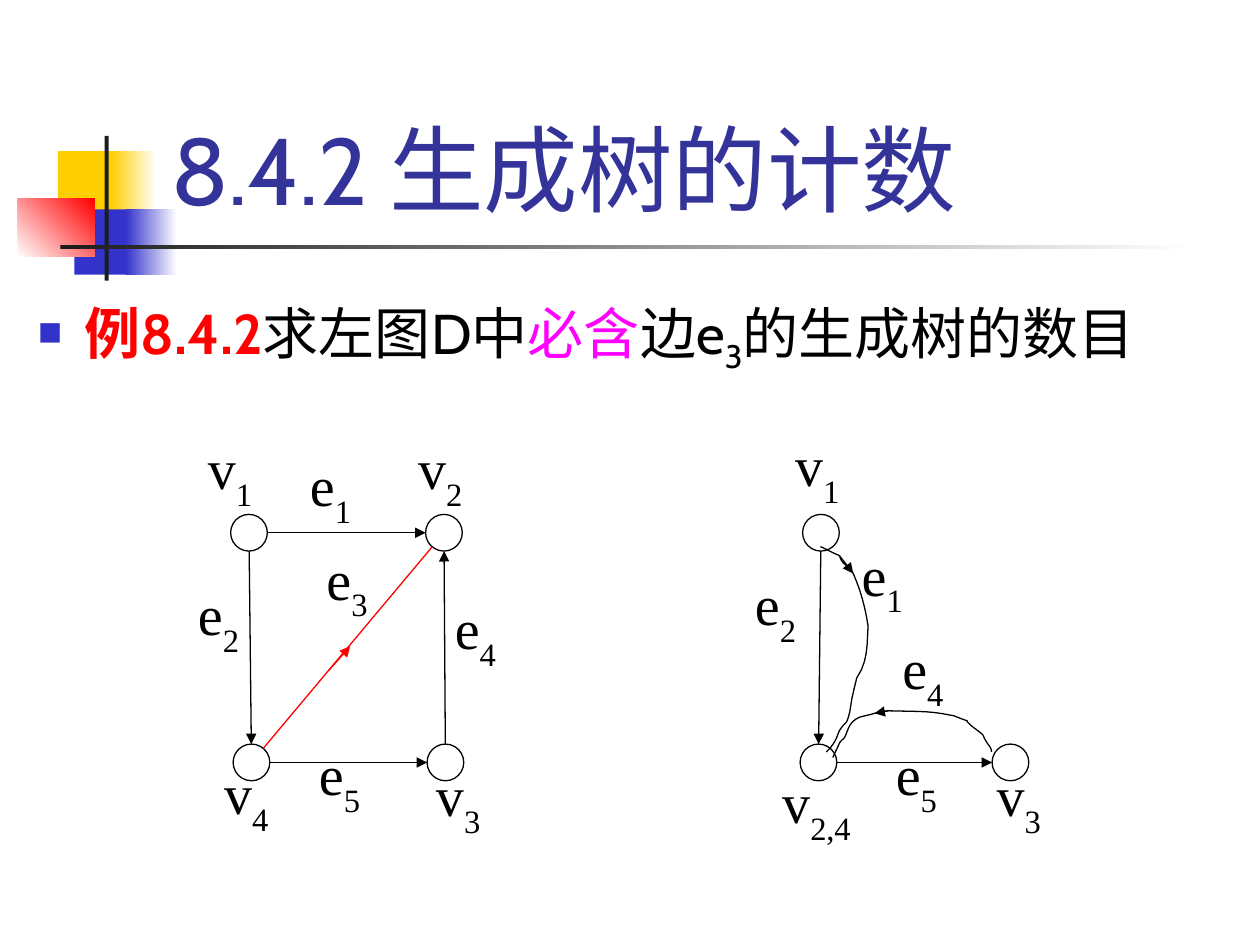
import math

import pptx
import pptx.dml.color
import pptx.enum.shapes
import pptx.enum.text
import pptx.oxml
import pptx.oxml.ns
import pptx.util
from pptx.dml.color import RGBColor
from pptx.util import Cm, Pt

YELLOW = RGBColor(0xFF, 0xCF, 0x01)
BLUE = RGBColor(0x33, 0x33, 0xCC)
TITLE_BLUE = RGBColor(0x33, 0x33, 0x99)
RED = RGBColor(0xFF, 0x00, 0x00)
MAGENTA = RGBColor(0xFF, 0x00, 0xFF)
CHARCOAL = RGBColor(0x1C, 0x1C, 0x1C)
BLACK = RGBColor(0x00, 0x00, 0x00)
WHITE = RGBColor(0xFF, 0xFF, 0xFF)

TEXT_FONT = "Cabin"
LABEL_FONT = "Times New Roman"
LINE_WIDTH = Pt(0.75)
RADIUS = 0.37
CURVE_STEPS = 6

# Master decoration: left, top, width, height, colours, gradient angle
DECORATION = [
    (1.17, 3.05, 1.22, 1.32, (YELLOW,), 0),
    (2.24, 3.05, 0.91, 1.32, (YELLOW, WHITE), 0),
    (1.5, 4.22, 1.17, 1.32, (BLUE,), 0),
    (2.54, 4.22, 1.02, 1.32, (BLUE, WHITE), 0),
    (0.36, 4.01, 1.55, 1.17, (WHITE, RED), 45),
    (2.11, 2.74, 0.08, 2.92, (CHARCOAL,), 0),
    (1.22, 4.94, 22.86, 0.09, (CHARCOAL, WHITE), 0),
]

# Labels: letter, subscript, left, top
LABELS = [
    ("v", "3", 19.81, 15.19), ("v", "2,4", 15.49, 15.32),
    ("v", "3", 8.51, 15.19), ("v", "4", 4.24, 15.14),
    ("e", "3", 6.3, 10.82), ("e", "4", 17.91, 12.62),
    ("e", "5", 6.15, 14.76), ("e", "5", 17.78, 14.76),
    ("e", "2", 3.71, 11.53), ("e", "1", 5.97, 8.94),
    ("e", "4", 8.89, 11.81), ("e", "2", 14.94, 11.33),
    ("e", "1", 17.09, 10.74), ("v", "1", 3.91, 8.59),
    ("v", "2", 8.15, 8.59), ("v", "1", 15.75, 8.53),
]

# Vertex centres of the digraph and of its contraction
VERTICES = {
    "v1": (5.02, 10.74), "v2": (8.95, 10.74),
    "v4": (5.07, 15.37), "v3": (8.98, 15.37),
    "contracted v1": (16.55, 10.74),
    "contracted v2,4": (16.5, 15.37), "contracted v3": (20.37, 15.37),
}

EDGES = [
    ("v1", "v2"), ("v3", "v2"), ("v1", "v4"), ("v4", "v3"),
    ("contracted v1", "contracted v2,4"),
    ("contracted v2,4", "contracted v3"),
]

# Curved edges: start point, then three Bezier points for each segment
CURVE_E4 = [
    (16.79, 15.27),
    (16.84, 15.16), (16.89, 15.06), (16.92, 14.99),
    (16.94, 14.94), (16.99, 14.91), (17.02, 14.88),
    (17.09, 14.76), (17.09, 14.61), (17.25, 14.5),
    (17.35, 14.43), (17.5, 14.43), (17.63, 14.38),
    (17.73, 14.36), (17.83, 14.33), (17.91, 14.33),
    (18.69, 14.35), (18.72, 14.33), (19.23, 14.43),
    (19.71, 14.63), (19.35, 14.43), (19.58, 14.63),
    (19.71, 14.73), (19.69, 14.71), (19.81, 14.81),
    (19.84, 14.86), (19.84, 14.88), (19.86, 14.91),
    (19.91, 15.01), (19.99, 15.06), (19.99, 15.16),
]
CURVE_E1 = [
    (16.54, 11.02),
    (16.66, 11.07), (16.79, 11.15), (16.92, 11.2),
    (16.99, 11.43), (17.09, 11.35), (17.2, 11.56),
    (17.35, 11.89), (17.45, 12.27), (17.5, 12.62),
    (17.48, 13), (17.5, 13.34), (17.27, 13.67),
    (17.25, 13.77), (17.22, 13.87), (17.2, 13.97),
    (17.15, 14.15), (17.15, 14.38), (17.07, 14.55),
    (16.99, 14.63), (16.92, 14.71), (16.89, 14.81),
    (16.84, 14.96), (16.76, 15.06), (16.66, 15.16),
]


def add_box(slide, kind, left, top, width, height, colors, angle=0, outline=None):
    shape = slide.shapes.add_shape(kind, Cm(left), Cm(top), Cm(width), Cm(height))
    shape.shadow.inherit = False
    if len(colors) == 1:
        shape.fill.solid()
        shape.fill.fore_color.rgb = colors[0]
    else:
        shape.fill.gradient()
        shape.fill.gradient_angle = angle
        for stop, color in zip(shape.fill.gradient_stops, colors):
            stop.color.rgb = color
    if outline is None:
        shape.line.fill.background()
    else:
        shape.line.color.rgb = outline
        shape.line.width = LINE_WIDTH
    return shape


def add_runs(paragraph, runs, size, font_name):
    """Add runs given as text, colour, bold and baseline in percent."""
    for text, color, bold, baseline in runs:
        run = paragraph.add_run()
        run.text = text
        run.font.size = Pt(size)
        run.font.name = font_name
        run.font.bold = bold
        run.font.color.rgb = color
        if baseline:
            run.font._element.set("baseline", str(baseline * 1000))


def add_text(slide, left, top, width, height, runs, size, anchor):
    text_box = slide.shapes.add_textbox(Cm(left), Cm(top), Cm(width), Cm(height))
    text_box.text_frame.word_wrap = True
    text_box.text_frame.vertical_anchor = anchor
    paragraph = text_box.text_frame.paragraphs[0]
    add_runs(paragraph, runs, size, TEXT_FONT)
    return paragraph


def add_bullet(paragraph):
    properties = paragraph._p.get_or_add_pPr()
    properties.set("marL", str(Cm(0.95)))
    properties.set("indent", str(-Cm(0.95)))
    namespace = pptx.oxml.ns.nsdecls("a")
    for markup in (
        f'<a:buClr {namespace}><a:srgbClr val="{BLUE}"/></a:buClr>',
        f'<a:buSzPct {namespace} val="60000"/>',
        f'<a:buChar {namespace} char="■"/>',
    ):
        properties.append(pptx.oxml.parse_xml(markup))


def add_label(slide, letter, subscript, left, top):
    shape = add_box(slide, pptx.enum.shapes.MSO_SHAPE.RECTANGLE,
                    left, top, 2.2, 2.16, [WHITE], outline=WHITE)
    frame = shape.text_frame
    frame.word_wrap = True
    frame.vertical_anchor = pptx.enum.text.MSO_ANCHOR.TOP
    frame.margin_left = frame.margin_right = Cm(0.28)
    frame.margin_top = frame.margin_bottom = Cm(0.15)
    paragraph = frame.paragraphs[0]
    paragraph.alignment = pptx.enum.text.PP_ALIGN.LEFT
    runs = [(letter, BLACK, False, 0), (subscript, BLACK, False, -30)]
    add_runs(paragraph, runs, 32, LABEL_FONT)


def add_line(slide, start, end, color=BLACK, arrow=True):
    connector = slide.shapes.add_connector(
        pptx.enum.shapes.MSO_CONNECTOR.STRAIGHT, *map(Cm, start + end))
    connector.line.color.rgb = color
    connector.line.width = LINE_WIDTH
    namespace = pptx.oxml.ns.nsdecls("a")
    if arrow:
        connector.line._get_or_add_ln().append(
            pptx.oxml.parse_xml(f'<a:tailEnd {namespace} type="triangle"/>'))
    connector._element.spPr.append(
        pptx.oxml.parse_xml(f"<a:effectLst {namespace}/>"))


def add_edge(slide, source, target, color=BLACK, arrow=True):
    """Join two vertices from rim to rim."""
    (x1, y1), (x2, y2) = VERTICES[source], VERTICES[target]
    share = RADIUS / math.hypot(x2 - x1, y2 - y1)
    dx, dy = (x2 - x1) * share, (y2 - y1) * share
    add_line(slide, (x1 + dx, y1 + dy), (x2 - dx, y2 - dy), color, arrow)


def add_curve(slide, points):
    outline = []
    for i in range(0, len(points) - 1, 3):
        for step in range(1, CURVE_STEPS + 1):
            t = step / CURVE_STEPS
            weights = ((1 - t) ** 3, 3 * t * (1 - t) ** 2, 3 * t * t * (1 - t), t ** 3)
            outline.append(tuple(
                Cm(sum(w * point[axis] for w, point in zip(weights, points[i:i + 4])))
                for axis in (0, 1)))
    builder = slide.shapes.build_freeform(Cm(points[0][0]), Cm(points[0][1]))
    builder.add_line_segments(outline, close=False)
    shape = builder.convert_to_shape()
    shape.shadow.inherit = False
    shape.fill.background()
    shape.line.color.rgb = BLACK
    shape.line.width = LINE_WIDTH


def main():
    presentation = pptx.Presentation()
    presentation.slide_width, presentation.slide_height = Cm(25.4), Cm(19.05)
    slide = presentation.slides.add_slide(presentation.slide_layouts[6])

    # Decoration, title and exercise
    for left, top, width, height, colors, angle in DECORATION:
        add_box(slide, pptx.enum.shapes.MSO_SHAPE.RECTANGLE,
                left, top, width, height, colors, angle)
    add_text(slide, 3.2, 0.58, 21.64, 4.06,
             [("8.4.2 生成树的计数", TITLE_BLUE, False, 0)],
             54, pptx.enum.text.MSO_ANCHOR.BOTTOM)
    exercise = add_text(slide, 0.51, 5.13, 24.89, 13.92, [
        ("例8.4.2", RED, True, 0), ("求左图D中", BLACK, False, 0),
        ("必含", MAGENTA, False, 0), ("边e", BLACK, False, 0),
        ("3", BLACK, False, -25), ("的生成树的数目", BLACK, False, 0),
    ], 32, pptx.enum.text.MSO_ANCHOR.TOP)
    exercise.line_spacing = 1.5
    exercise.space_before = Pt(8)
    add_bullet(exercise)

    # Labels and vertices
    for label in LABELS:
        add_label(slide, *label)
    for x, y in VERTICES.values():
        add_box(slide, pptx.enum.shapes.MSO_SHAPE.OVAL, x - RADIUS, y - RADIUS,
                2 * RADIUS, 2 * RADIUS, [WHITE], outline=BLACK)

    # Edges, with arrowheads part-way along e3 and the curves
    for source, target in EDGES:
        add_edge(slide, source, target)
    add_edge(slide, "v4", "v2", RED, arrow=False)
    add_line(slide, (6.63, 13.51), (7.06, 13.03), RED)
    add_curve(slide, CURVE_E4)
    add_line(slide, (17.91, 14.33), (17.63, 14.38))
    add_curve(slide, CURVE_E1)
    add_line(slide, (16.92, 11.2), (17.2, 11.56))

    presentation.save("out.pptx")


if __name__ == "__main__":
    main()
